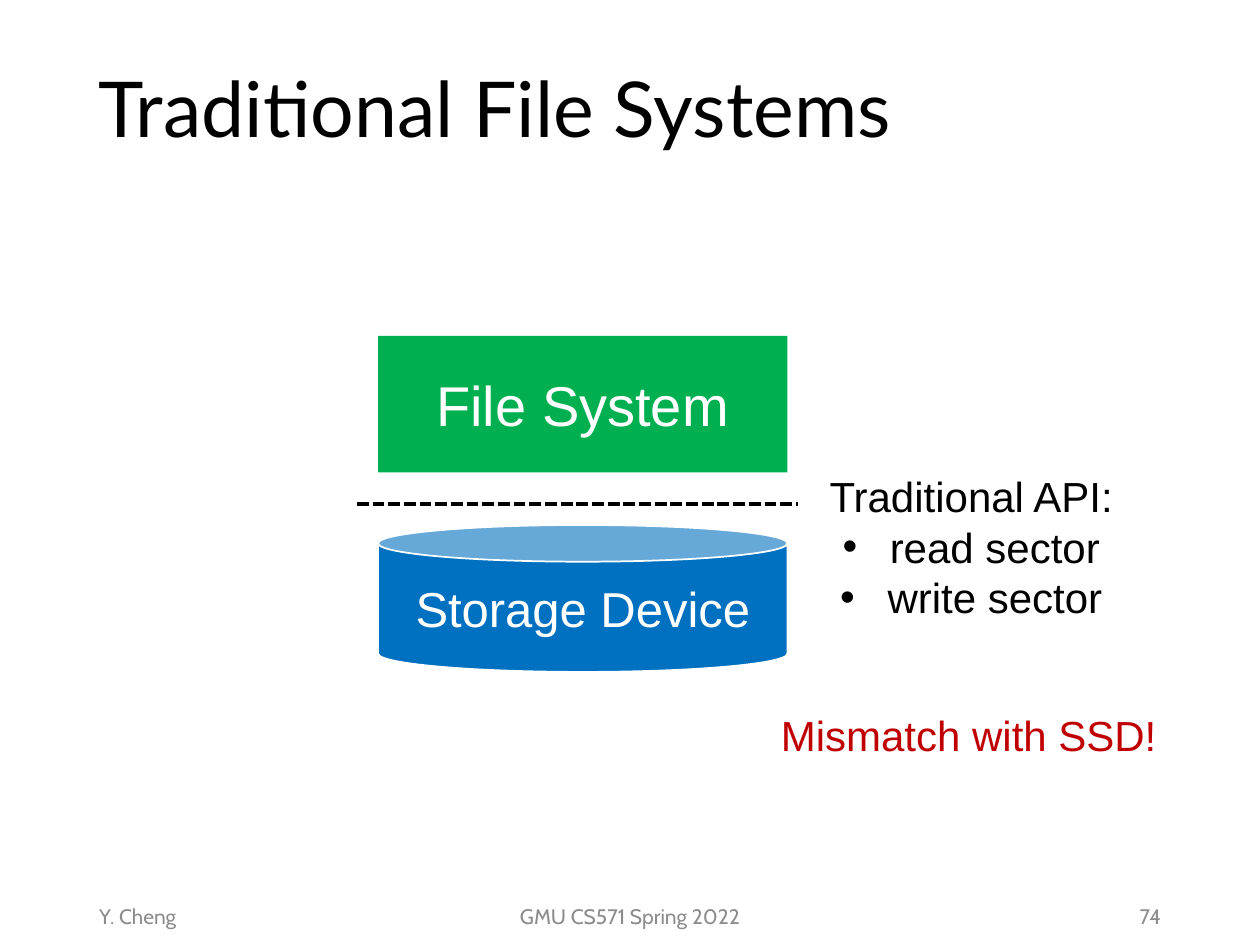
from dataclasses import dataclass

import pptx
import pptx.dml.color
import pptx.enum.dml
import pptx.enum.shapes
import pptx.enum.text
import pptx.oxml
import pptx.oxml.ns
import pptx.util

Pt = pptx.util.Pt
Shape = pptx.enum.shapes.MSO_SHAPE
Align = pptx.enum.text.PP_ALIGN
Anchor = pptx.enum.text.MSO_ANCHOR


@dataclass(frozen=True)
class Theme:
    black: str = "000000"
    white: str = "FFFFFF"
    green: str = "00B050"
    blue: str = "0070C0"
    red: str = "C00000"
    grey: str = "8C8C8C"
    title_font: str = "Lato"
    body_font: str = "Arial"
    footer_font: str = "Cabin"
    title_size: int = 44
    system_size: int = 32
    device_size: int = 28
    note_size: int = 24
    footer_size: int = 12


THEME = Theme()


def rgb(color):
    return pptx.dml.color.RGBColor.from_string(color)


def add_xml(parent, tag, attributes=""):
    namespace = pptx.oxml.ns.nsdecls("a")
    parent.append(pptx.oxml.parse_xml(f"<a:{tag} {namespace} {attributes}/>"))


def write_line(para, text, font, size, color, align=Align.LEFT):
    para.alignment = align
    span = para.add_run()
    span.text = text
    span.font.name = font
    span.font.size = Pt(size)
    span.font.color.rgb = rgb(color)


def add_text_box(page, box, anchor=Anchor.TOP):
    frame = page.shapes.add_textbox(*map(Pt, box)).text_frame
    frame.word_wrap = True
    frame.vertical_anchor = anchor
    return frame


def add_block(page, kind, box, text, size, fill):
    shape = page.shapes.add_shape(kind, *map(Pt, box))
    shape.shadow.inherit = False
    shape.fill.solid()
    shape.fill.fore_color.rgb = rgb(fill)
    shape.line.fill.background()
    shape.text_frame.word_wrap = True
    shape.text_frame.vertical_anchor = Anchor.MIDDLE
    write_line(shape.text_frame.paragraphs[0], text, THEME.body_font, size,
               THEME.white, Align.CENTER)
    return shape


def add_title(page, box):
    para = add_text_box(page, box, Anchor.MIDDLE).paragraphs[0]
    para.line_spacing = 0.9
    write_line(para, "Traditional File Systems", THEME.title_font,
               THEME.title_size, THEME.black)


def add_storage_stack(page, box):
    left, top, width, height = box
    system_height, device_height = 78, 84
    add_block(page, Shape.RECTANGLE, (left, top, width, system_height),
              "File System", THEME.system_size, THEME.green)
    device_top = top + height - device_height
    device = add_block(page, Shape.CAN, (left, device_top, width, device_height),
                       "Storage Device", THEME.device_size, THEME.blue)
    device.line.color.rgb = rgb(THEME.white)
    device.line.width = Pt(1)

    # Dashed interface line between the two layers
    line_top = top + 96
    interface = page.shapes.add_connector(
        pptx.enum.shapes.MSO_CONNECTOR.STRAIGHT,
        Pt(left - 12), Pt(line_top), Pt(left + width + 6), Pt(line_top))
    interface.line.color.rgb = rgb(THEME.black)
    interface.line.width = Pt(2.25)
    interface.line.dash_style = pptx.enum.dml.MSO_LINE.SQUARE_DOT
    add_xml(interface._element.spPr, "effectLst")


def add_api_note(page, box):
    frame = add_text_box(page, box)
    write_line(frame.paragraphs[0], "Traditional API:", THEME.body_font,
               THEME.note_size, THEME.black, Align.CENTER)
    for call in ("read sector", "write sector"):
        para = frame.add_paragraph()
        properties = para._p.get_or_add_pPr()
        properties.set("marL", str(Pt(27)))
        properties.set("indent", str(-Pt(27)))
        add_xml(properties, "buFont", 'typeface="Arial"')
        add_xml(properties, "buChar", 'char="•"')
        write_line(para, call, THEME.body_font, THEME.note_size, THEME.black,
                   Align.CENTER)


def add_mismatch_note(page, box):
    write_line(add_text_box(page, box).paragraphs[0], "Mismatch with SSD!",
               THEME.body_font, THEME.note_size, THEME.red, Align.CENTER)


def add_footer(page, box):
    left, top, width, height = box
    side, middle = 162, 243
    parts = (
        ("Y. Cheng", left, side, Align.LEFT),
        ("GMU CS571 Spring 2022", left + (width - middle) / 2, middle, Align.CENTER),
        ("74", left + width - side, side, Align.RIGHT),
    )
    for text, part_left, part_width, align in parts:
        frame = add_text_box(page, (part_left, top, part_width, height), Anchor.MIDDLE)
        write_line(frame.paragraphs[0], text, THEME.footer_font,
                   THEME.footer_size, THEME.grey, align)


def main():
    deck = pptx.Presentation()
    deck.slide_width, deck.slide_height = Pt(720), Pt(540)
    page = deck.slides.add_slide(deck.slide_layouts[6])
    add_title(page, (49.5, 12, 621, 104.4))
    add_storage_stack(page, (216, 192, 234, 192))
    add_api_note(page, (450, 265.5, 210, 94.5))
    add_mismatch_note(page, (417, 402, 273, 36))
    add_footer(page, (49.5, 509, 621, 28.8))
    deck.save("out.pptx")


if __name__ == "__main__":
    main()
